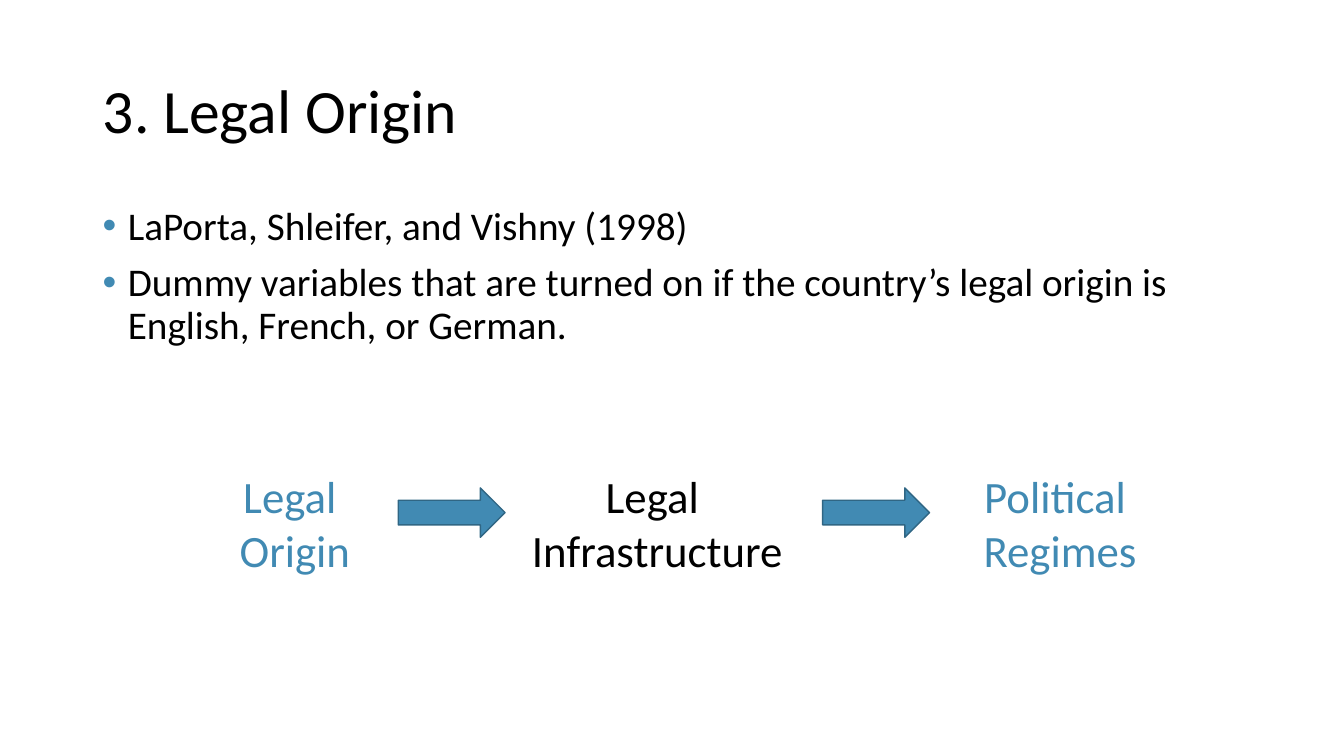
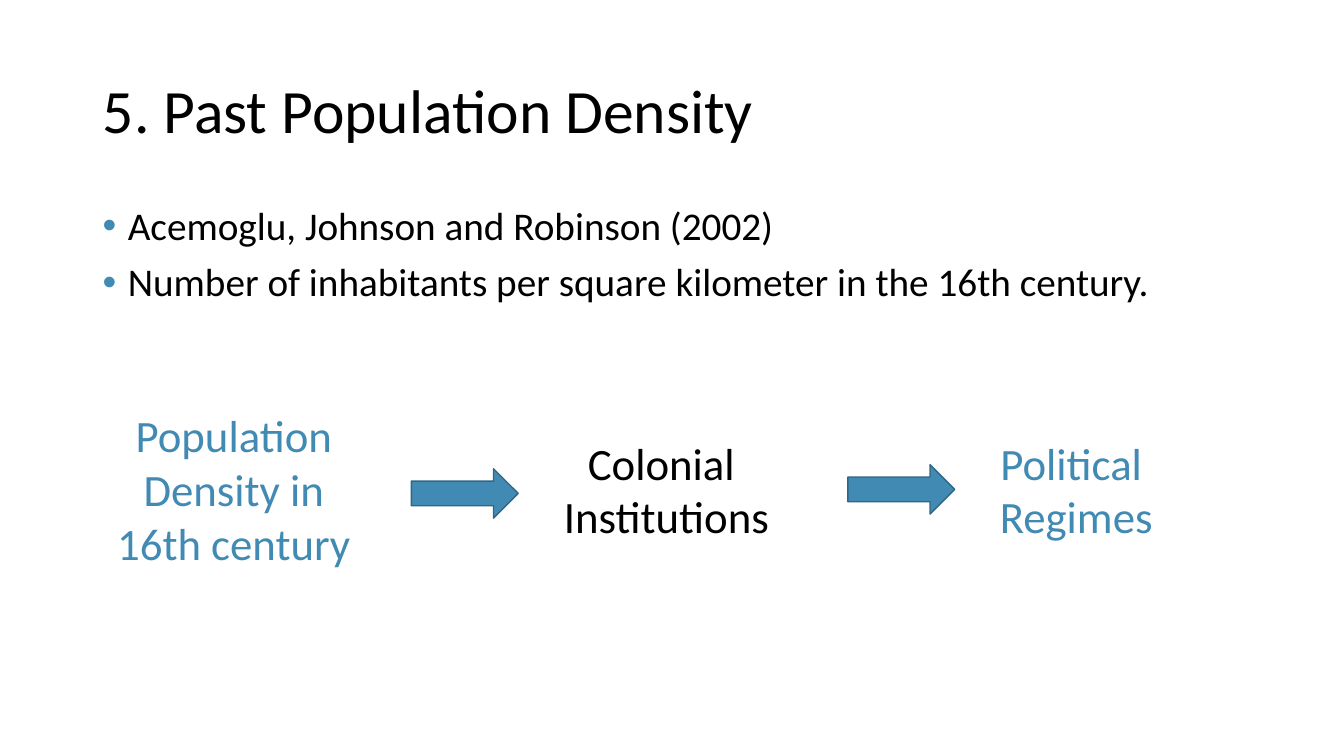
from dataclasses import dataclass
from typing import Any

from lxml.etree import SubElement
from pptx import Presentation
from pptx.dml.color import RGBColor
from pptx.enum.shapes import MSO_SHAPE as Preset
from pptx.enum.text import MSO_ANCHOR as Anchor, MSO_AUTO_SIZE as AutoSize, PP_ALIGN as Align
from pptx.oxml.ns import qn
from pptx.util import Inches, Pt

FONT = "Calibri"
BLACK = "000000"
BLUE = "418AB3"
ARROW_LINE = "306684"
LEFT, CONTENT_WIDTH = 0.92, 11.5
TITLE_ONLY = 5
TITLE_FRAME = {"vertical_anchor": Anchor.MIDDLE, "word_wrap": True, "auto_size": AutoSize.NONE}
BODY_FRAME = {"word_wrap": True, "auto_size": AutoSize.NONE}
LABEL_FRAME = {"word_wrap": True, "auto_size": AutoSize.SHAPE_TO_FIT_TEXT}
LEFT_TEXT = {"alignment": Align.LEFT, "line_spacing": 0.9}
CENTRED_TEXT = {"alignment": Align.CENTER}


@dataclass(frozen=True)
class Label:
    left: float
    top: float
    width: float
    height: float
    lines: tuple[str, ...]
    color: str = BLUE


@dataclass(frozen=True)
class Arrow:
    left: float
    top: float


@dataclass(frozen=True)
class Topic:
    title: str
    bullets: tuple[str, ...]
    labels: tuple[Label, ...]
    arrows: tuple[Arrow, ...]


REGIMES = ("Political ", "Regimes")
TOPICS = (
    Topic(
        "3. Legal Origin",
        (
            "LaPorta, Shleifer, and Vishny (1998)",
            "Dummy variables that are turned on if the country’s legal origin is "
            "English, French, or German.",
        ),
        (
            Label(1.72, 4.6, 2.41, 1.18, ("Legal ", "Origin")),
            Label(5.08, 4.6, 2.88, 1.18, ("Legal ", "Infrastructure"), BLACK),
            Label(9.31, 4.6, 2.41, 1.18, REGIMES),
        ),
        (Arrow(3.95, 4.84), Arrow(8.16, 4.84)),
    ),
    Topic(
        "5. Past Population Density",
        (
            "Acemoglu, Johnson and Robinson (2002)",
            "Number of inhabitants per square kilometer in the 16th century.",
        ),
        (
            Label(0.92, 4, 2.8, 1.72, ("Population", "Density in 16th century")),
            Label(5.17, 4.27, 2.88, 1.18, ("Colonial ", "Institutions"), BLACK),
            Label(9.47, 4.27, 2.41, 1.18, REGIMES),
        ),
        (Arrow(4.08, 4.65), Arrow(8.41, 4.61)),
    ),
)


def rgb(color: str) -> RGBColor:
    return RGBColor.from_string(color)


def apply_format(target: Any, values: dict[str, Any]) -> None:
    for name, value in values.items():
        setattr(target, name, value)


def place(shape: Any, left: float, top: float, width: float, height: float) -> None:
    box = {"left": left, "top": top, "width": width, "height": height}
    apply_format(shape, {name: Inches(value) for name, value in box.items()})


def add_bullet(paragraph: Any) -> None:
    properties = paragraph._p.get_or_add_pPr()
    properties.set("marL", str(Inches(0.25)))
    properties.set("indent", str(-Inches(0.25)))
    bullet_color = SubElement(properties, qn("a:buClr"))
    SubElement(bullet_color, qn("a:srgbClr"), val=BLUE)
    SubElement(properties, qn("a:buFont"), typeface="Arial")
    SubElement(properties, qn("a:buChar"), char="•")


def write_text(shape: Any, lines: tuple[str, ...], size: int, color: str,
               frame_format: dict[str, Any], paragraph_format: dict[str, Any],
               bulleted: bool = False) -> None:
    frame = shape.text_frame
    apply_format(frame, frame_format)
    for index, line in enumerate(lines):
        paragraph = frame.add_paragraph() if index else frame.paragraphs[0]
        paragraph.text = line
        if bulleted:
            add_bullet(paragraph)
            if index:
                paragraph.space_before = Pt(10)
        apply_format(paragraph, paragraph_format)
        apply_format(paragraph.font, {"name": FONT, "size": Pt(size)})
        paragraph.font.color.rgb = rgb(color)


def add_label(slide: Any, label: Label) -> None:
    box = (label.left, label.top, label.width, label.height)
    shape = slide.shapes.add_textbox(*map(Inches, box))
    write_text(shape, label.lines, 32, label.color, LABEL_FRAME, CENTRED_TEXT)


def add_arrow(slide: Any, arrow: Arrow) -> None:
    box = (arrow.left, arrow.top, 1.06, 0.49)
    shape = slide.shapes.add_shape(Preset.RIGHT_ARROW, *map(Inches, box))
    shape.shadow.inherit = False
    shape.fill.solid()
    shape.fill.fore_color.rgb = rgb(BLUE)
    shape.line.color.rgb = rgb(ARROW_LINE)
    shape.line.width = Pt(1)


def add_topic(presentation: Any, topic: Topic) -> None:
    slide = presentation.slides.add_slide(presentation.slide_layouts[TITLE_ONLY])
    title = slide.shapes.title
    place(title, LEFT, 0.4, CONTENT_WIDTH, 1.45)
    write_text(title, (topic.title,), 44, BLACK, TITLE_FRAME, LEFT_TEXT)
    body = slide.shapes.add_textbox(*map(Inches, (LEFT, 2, CONTENT_WIDTH, 4.76)))
    write_text(body, topic.bullets, 28, BLACK, BODY_FRAME, LEFT_TEXT, bulleted=True)
    for label in topic.labels:
        add_label(slide, label)
    for arrow in topic.arrows:
        add_arrow(slide, arrow)


def main() -> None:
    presentation = Presentation()
    apply_format(presentation, {"slide_width": Inches(13.33), "slide_height": Inches(7.5)})
    for topic in TOPICS:
        add_topic(presentation, topic)
    presentation.save("out.pptx")


if __name__ == "__main__":
    main()
